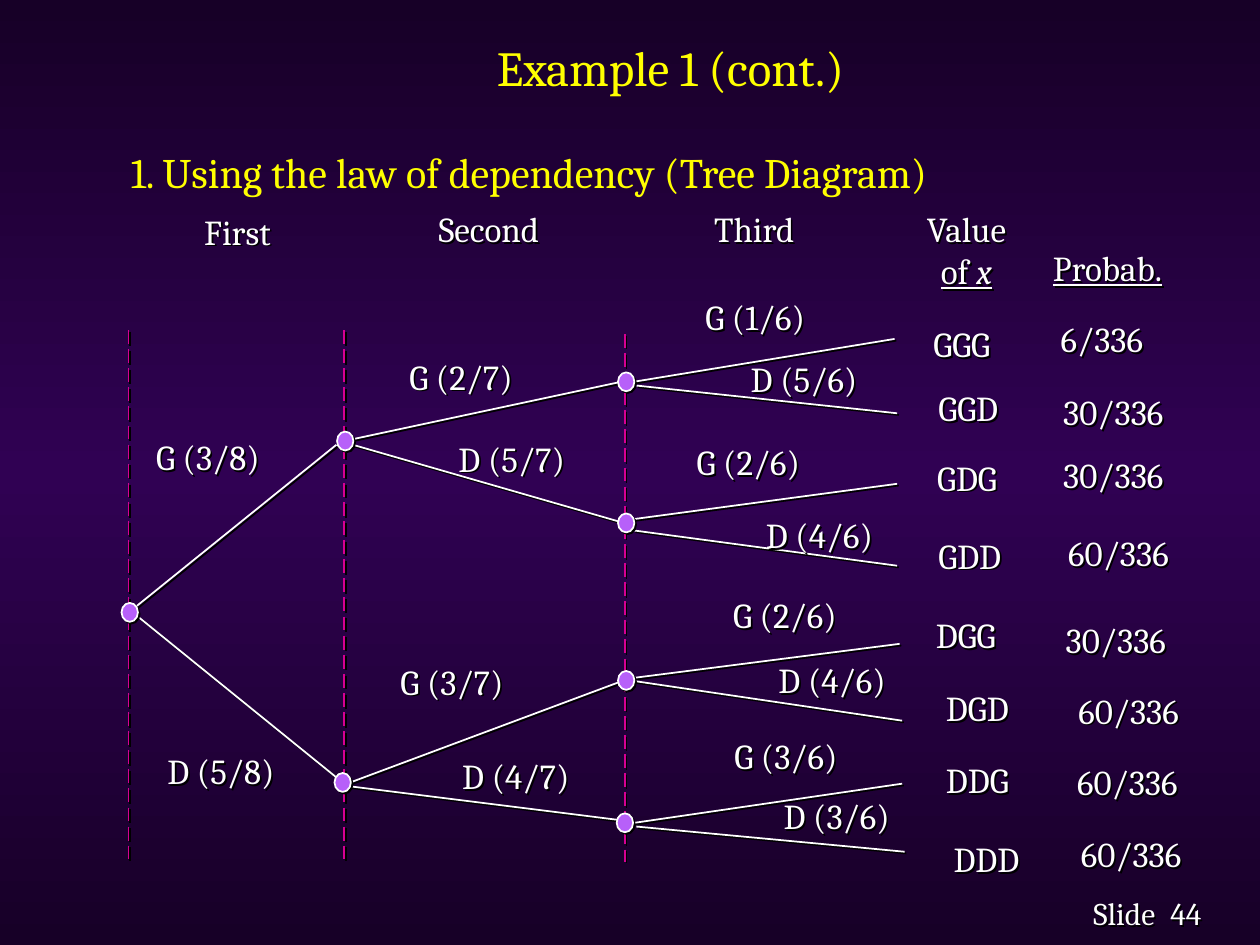
from copy import deepcopy

from lxml import etree
from pptx import Presentation
from pptx.dml.color import RGBColor
from pptx.enum.dml import MSO_LINE
from pptx.enum.shapes import MSO_CONNECTOR, MSO_SHAPE
from pptx.enum.text import MSO_ANCHOR, MSO_AUTO_SIZE, PP_ALIGN
from pptx.oxml.ns import qn
from pptx.util import Inches, Pt

LEFT, CENTER = PP_ALIGN.LEFT, PP_ALIGN.CENTER
TOP, MIDDLE = MSO_ANCHOR.TOP, MSO_ANCHOR.MIDDLE
FIT_SHAPE = MSO_AUTO_SIZE.SHAPE_TO_FIT_TEXT
STRAIGHT = MSO_CONNECTOR.STRAIGHT
OVAL = MSO_SHAPE.OVAL
LONG_DASH = MSO_LINE.LONG_DASH
FONT = "Cambria"
COLORS = {
    "edge": "170027",
    "middle": "300153",
    "title": "FFFF00",
    "text": "FFFFFF",
    "stage": "D60093",
    "node": "B760F9",
    "shadow": "000000",
}
LABEL_HEIGHT = 0.43
NODE_WIDTH, NODE_HEIGHT = 0.13, 0.15

STAGES = [(0.02, 0.62, 4.82), (1.73, 0.62, 4.82), (3.96, 0.65, 4.84)]
NODES = [(0.03, 2.86), (1.74, 1.5), (1.72, 4.21),
         (3.97, 1.03), (3.97, 2.15), (3.97, 3.4), (3.96, 4.53)]
BRANCHES = [
    ("G (3/8)", 0.14, 1.41, (0.06, 2.83), (1.67, 1.53)),
    ("D (5/8)", 0.23, 3.9, (0.09, 2.89), (1.67, 4.17)),
    ("G (2/7)", 2.15, 0.77, (1.78, 1.49), (3.93, 1.03)),
    ("D (5/7)", 2.54, 1.42, (1.8, 1.53), (3.95, 2.15)),
    ("G (3/7)", 2.08, 3.19, (1.78, 4.21), (3.95, 3.4)),
    ("D (4/7)", 2.57, 3.94, (1.77, 4.24), (3.93, 4.51)),
    ("G (1/6)", 4.5, 0.3, (3.97, 1.04), (6.1, 0.69)),
    ("D (5/6)", 4.86, 0.79, (4.05, 1.06), (6.12, 1.28)),
    ("G (2/6)", 4.43, 1.45, (4.03, 2.12), (6.12, 1.84)),
    ("D (4/6)", 4.98, 2.03, (4.03, 2.21), (6.12, 2.49)),
    ("G (2/6)", 4.72, 2.66, (4.03, 3.38), (6.14, 3.11)),
    ("D (4/6)", 5.08, 3.18, (4, 3.4), (6.16, 3.72)),
    ("G (3/6)", 4.73, 3.78, (3.97, 4.54), (6.16, 4.22)),
    ("D (3/6)", 5.12, 4.26, (4.05, 4.56), (6.18, 4.76)),
]
OUTCOMES = [
    ("GGG", 0.31, 0.51, "6/336", 1.32, 0.47),
    ("GGD", 0.35, 1.02, "30/336", 1.34, 1.05),
    ("GDG", 0.34, 1.57, "30/336", 1.34, 1.55),
    ("GDD", 0.35, 2.19, "60/336", 1.38, 2.17),
    ("DGG", 0.33, 2.82, "30/336", 1.36, 2.86),
    ("DGD", 0.41, 3.4, "60/336", 1.46, 3.42),
    ("DDG", 0.41, 3.97, "60/336", 1.45, 3.99),
    ("DDD", 0.47, 4.6, "60/336", 1.48, 4.56),
]


def color(name):
    return RGBColor.from_string(COLORS[name])


def add_shadow(shape):
    effects = etree.SubElement(shape._element.spPr, qn("a:effectLst"))
    shadow = etree.SubElement(effects, qn("a:outerShdw"), dist="17780", dir="2700000", algn="ctr")
    etree.SubElement(shadow, qn("a:srgbClr"), val=COLORS["shadow"])


def add_run(paragraph, text, size, color_name, underline=None, italic=None):
    run = paragraph.add_run()
    run.text = text
    font = run.font
    font.name = FONT
    font.size = Pt(size)
    font.underline = underline
    font.italic = italic
    font.color.rgb = color(color_name)


def add_text(slide, box, lines, size=20, color_name="text", align=LEFT, anchor=TOP, wrap=False):
    shape = slide.shapes.add_textbox(*map(Inches, box))
    frame = shape.text_frame
    frame.word_wrap = wrap
    frame.vertical_anchor = anchor
    if not wrap:
        frame.auto_size = FIT_SHAPE
        add_shadow(shape)
    for index, runs in enumerate(lines):
        paragraph = frame.add_paragraph() if index else frame.paragraphs[0]
        paragraph.alignment = align
        for text, *style in runs:
            add_run(paragraph, text, size, color_name, *style)
    return shape


def add_line(slide, start, end, color_name):
    connector = slide.shapes.add_connector(STRAIGHT, *map(Inches, (*start, *end)))
    connector.line.color.rgb = color(color_name)
    connector.line.width = Pt(1)
    add_shadow(connector)
    return connector


def add_node(slide, center_x, center_y):
    box = (center_x - NODE_WIDTH / 2, center_y - NODE_HEIGHT / 2, NODE_WIDTH, NODE_HEIGHT)
    node = slide.shapes.add_shape(OVAL, *map(Inches, box))
    node.fill.solid()
    node.fill.fore_color.rgb = color("node")
    node.line.color.rgb = color("text")
    node.line.width = Pt(1)
    add_shadow(node)


def set_background(slide):
    fill = slide.background.fill
    fill.gradient()
    fill.gradient_angle = 90
    for stop in fill.gradient_stops:
        stop.color.rgb = color("edge")
    stops = next(slide._element.iter(qn("a:gsLst")))
    stops.insert(1, deepcopy(stops[0]))
    for stop, position in zip(fill.gradient_stops, (0, 0.5, 1)):
        stop.position = position
    fill.gradient_stops[1].color.rgb = color("middle")


def draw_headings(slide, left, top):
    add_text(slide, (left + 0.42, top, 7.92, 0.66), [[("Example 1 (cont.)",)]],
             28, "title", CENTER, MIDDLE, True)
    subtitle = add_text(slide, (left, top + 0.91, 8.5, 0.6),
                        [[("1. Using the law of dependency (Tree Diagram)",)]],
                        24, "title", wrap=True)
    subtitle.text_frame.paragraphs[0].space_before = Pt(4.8)


def draw_column_titles(slide, left, top):
    columns = [
        (0, 0.02, 0.73, [[("First",)]]),
        (1.82, 0, 1.08, [[("Second",)]]),
        (4.02, 0, 0.89, [[("Third",)]]),
        (5.69, 0, 0.92, [[("Value",)], [("of ", True), ("x", True, True)]]),
        (6.7, 0.31, 1.14, [[("Probab.", True)]]),
    ]
    for x, y, width, lines in columns:
        add_text(slide, (left + x, top + y, width, LABEL_HEIGHT * len(lines)), lines, align=CENTER)


def draw_tree(slide, left, top):
    for x, start, end in STAGES:
        stage = add_line(slide, (left + x, top + start), (left + x, top + end), "stage")
        stage.line.dash_style = LONG_DASH
    for text, x, y, start, end in BRANCHES:
        add_line(slide, (left + start[0], top + start[1]), (left + end[0], top + end[1]), "text")
        add_text(slide, (left + x, top + y, 1.11, LABEL_HEIGHT), [[(text,)]])
    for x, y in NODES:
        add_node(slide, left + x, top + y)


def draw_outcomes(slide, left, top):
    for code, code_x, code_y, chance, chance_x, chance_y in OUTCOMES:
        add_text(slide, (left + code_x, top + code_y, 0.84, LABEL_HEIGHT), [[(code,)]])
        add_text(slide, (left + chance_x, top + chance_y, 1.06, LABEL_HEIGHT), [[(chance,)]])


def draw_footer(slide, left, top):
    for x, width, text in ((0, 0.8, "Slide"), (0.61, 0.64, "44")):
        add_text(slide, (left + x, top, width, 0.4), [[(text,)]], 18)


presentation = Presentation()
presentation.slide_width = Inches(10)
presentation.slide_height = Inches(7.5)
slide = presentation.slides.add_slide(presentation.slide_layouts[6])
set_background(slide)
draw_headings(slide, 0.94, 0.2)
draw_column_titles(slide, 1.52, 1.6)
draw_tree(slide, 1, 2)
draw_outcomes(slide, 7, 2)
draw_footer(slide, 8.58, 7.05)
presentation.save("out.pptx")
